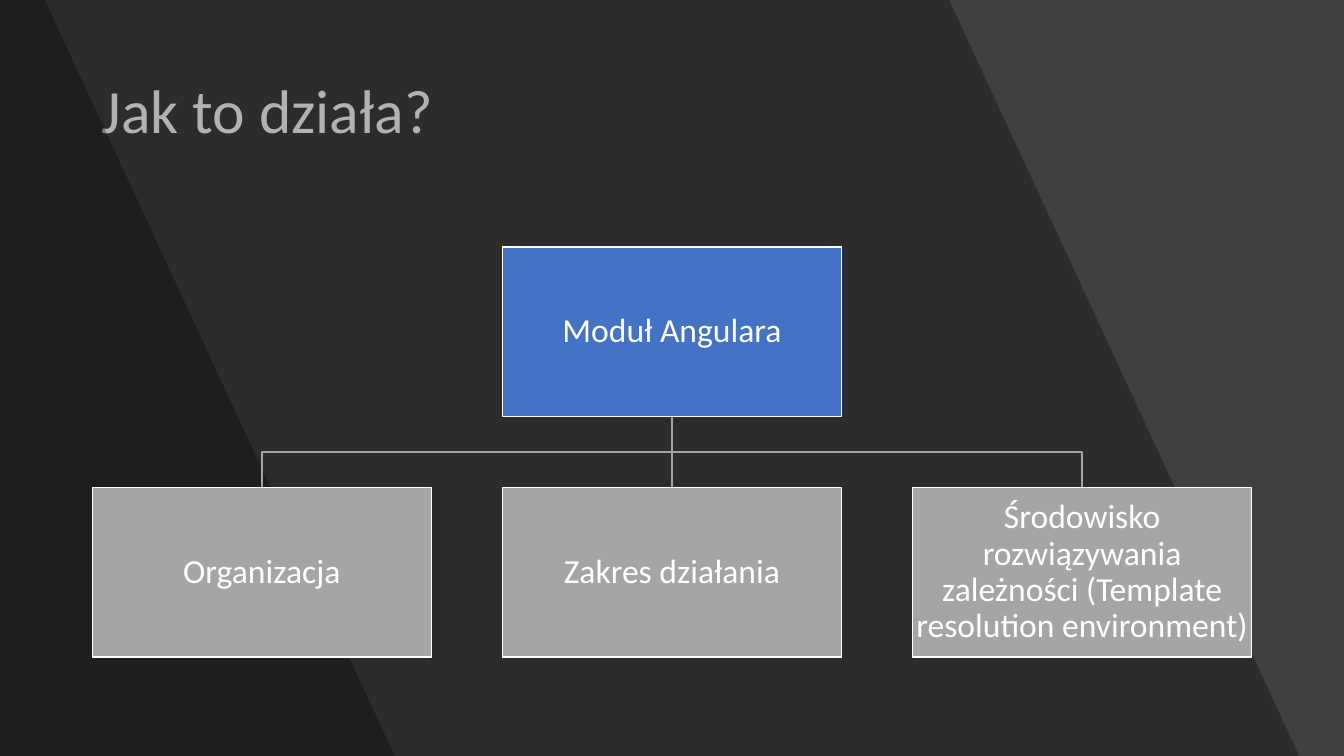
from lxml import etree
from pptx import Presentation
from pptx.dml.color import RGBColor
from pptx.enum.shapes import MSO_CONNECTOR, MSO_SHAPE
from pptx.enum.text import MSO_ANCHOR, MSO_AUTO_SIZE, PP_ALIGN
from pptx.oxml.ns import qn
from pptx.util import Pt

STRAIGHT = MSO_CONNECTOR.STRAIGHT
RECT = MSO_SHAPE.RECTANGLE
MIDDLE = MSO_ANCHOR.MIDDLE
NO_FIT = MSO_AUTO_SIZE.NONE
LEFT, CENTER = PP_ALIGN.LEFT, PP_ALIGN.CENTER

W, H = 960, 540
FONT = "Calibri"
COLORS = {
    "back": "404040",
    "shade": "000000",
    "text": "FFFFFF",
    "root": "4472C4",
    "child": "A5A5A5",
    "link": "A5A5A5",
}
ROOT = "Moduł Angulara"
CHILDREN = [
    "Organizacja",
    "Zakres działania",
    "Środowisko rozwiązywania zależności (Template resolution environment)",
]


def rgb(name):
    """Return the named colour."""
    return RGBColor.from_string(COLORS[name])


def write(sp, text, size=24, align=CENTER, inset=None):
    """Put one formatted paragraph into a shape."""
    tf = sp.text_frame
    tf.word_wrap = True
    tf.auto_size = NO_FIT
    tf.vertical_anchor = MIDDLE
    if inset is not None:
        tf.margin_left = tf.margin_right = Pt(inset)
        tf.margin_top = tf.margin_bottom = Pt(inset)
    p = tf.paragraphs[0]
    p.alignment = align
    p.line_spacing = 0.9
    r = p.add_run()
    r.text = text
    r.font.name = FONT
    r.font.size = Pt(size)
    r.font.color.rgb = rgb("text")


def polyline(s, points, close):
    """Draw an outline through points, without shadow."""
    (x, y), *rest = [(Pt(px), Pt(py)) for px, py in points]
    builder = s.shapes.build_freeform(x, y)
    builder.add_line_segments(rest, close=close)
    sp = builder.convert_to_shape()
    sp.shadow.inherit = False
    return sp


def backdrop(s, w, h):
    """Fill the background and lay two slanted translucent bands on it."""
    fill = s.background.fill
    fill.solid()
    fill.fore_color.rgb = rgb("back")
    slant = 250
    for top_edge in (678, 32):
        sp = polyline(s, [(0, 0), (top_edge, 0), (top_edge + slant, h), (0, h)], True)
        sp.fill.solid()
        sp.fill.fore_color.rgb = rgb("shade")
        color = sp.fill._xPr.find(qn("a:solidFill"))[0]
        etree.SubElement(color, qn("a:alpha"), val="30000")
        sp.line.fill.background()


def heading(s, text, x, y, w, h):
    """Move the title placeholder into its box and fill it."""
    sp = s.shapes.title
    sp.left, sp.top, sp.width, sp.height = Pt(x), Pt(y), Pt(w), Pt(h)
    write(sp, text, size=44, align=LEFT)


def link(s, x1, y1, x2, y2):
    """Join a parent's bottom to a child's top, with a bend if needed."""
    if abs(x1 - x2) < 1:
        line = s.shapes.add_connector(STRAIGHT, Pt(x1), Pt(y1), Pt(x2), Pt(y2))
        etree.SubElement(line._element.spPr, qn("a:effectLst"))
    else:
        mid = (y1 + y2) / 2
        line = polyline(s, [(x1, y1), (x1, mid), (x2, mid), (x2, y2)], False)
        line.fill.background()
    line.line.color.rgb = rgb("link")
    line.line.width = Pt(1)


def node(s, text, fill, x, y, w, h):
    """Draw one box of the hierarchy."""
    sp = s.shapes.add_shape(RECT, Pt(x), Pt(y), Pt(w), Pt(h))
    sp.shadow.inherit = False
    sp.fill.solid()
    sp.fill.fore_color.rgb = rgb(fill)
    sp.line.color.rgb = rgb("text")
    sp.line.width = Pt(1)
    write(sp, text, inset=1.2)


def hierarchy(s, root, children, x, y, w):
    """Draw a root centred over an evenly spaced row of children."""
    n = len(children)
    gap_ratio = 0.21
    box_w = w / (n + (n - 1) * gap_ratio)
    box_h, gap = box_w / 2, box_w * gap_ratio
    center, row_y = x + w / 2, y + box_h + gap
    lefts = [x + i * (box_w + gap) for i in range(n)]
    for left in lefts:
        link(s, center, y + box_h, left + box_w / 2, row_y)
    node(s, root, "root", center - box_w / 2, y, box_w, box_h)
    for text, left in zip(children, lefts):
        node(s, text, "child", left, row_y, box_w, box_h)


prs = Presentation()
prs.slide_width, prs.slide_height = Pt(W), Pt(H)
s = prs.slides.add_slide(prs.slide_layouts.get_by_name("Title Only"))
backdrop(s, W, H)
heading(s, "Jak to działa?", 65.5, 28.75, 829, 104.4)
hierarchy(s, ROOT, CHILDREN, 66, 176.5, 828)
prs.save("out.pptx")
